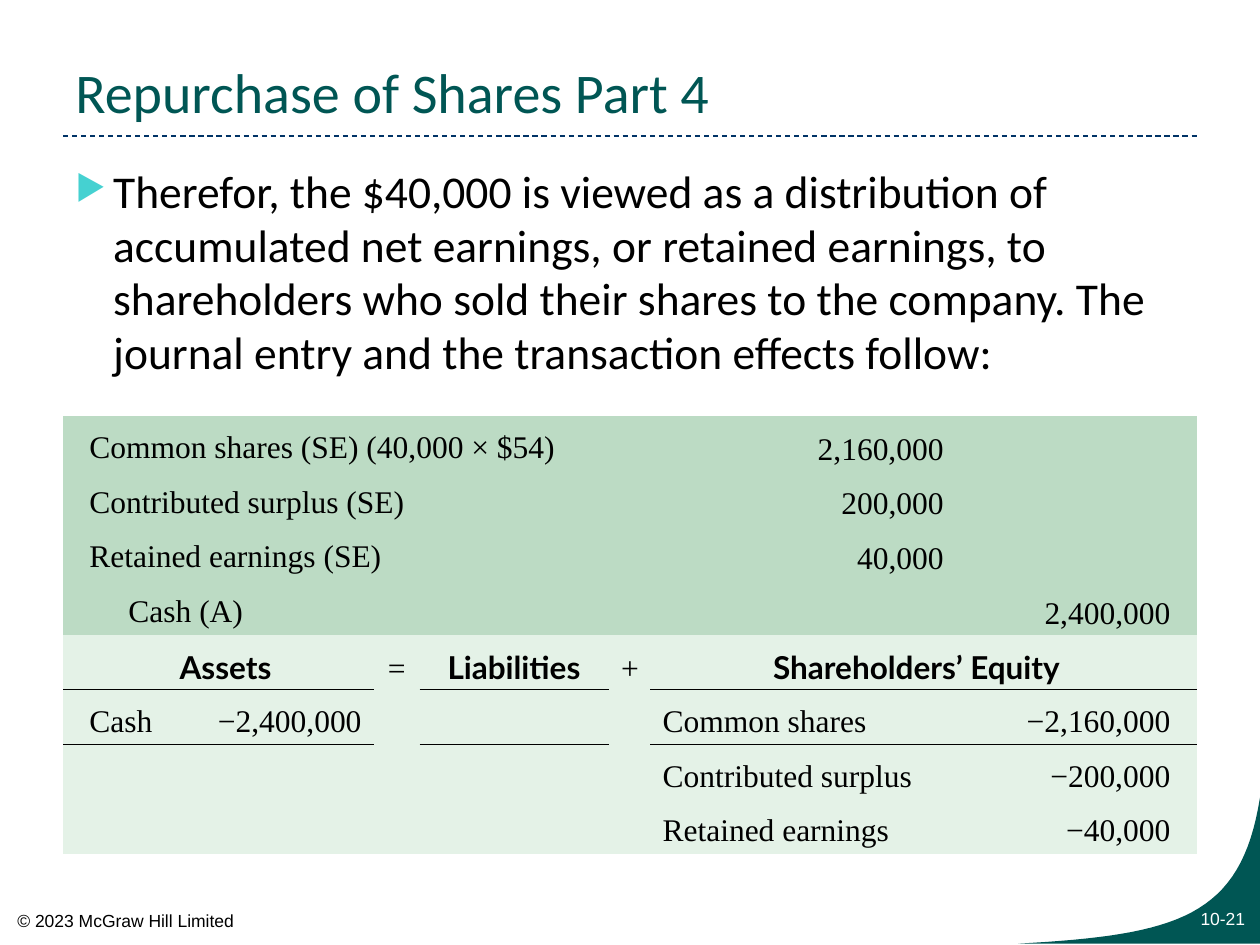
from dataclasses import dataclass
from lxml.etree import SubElement
from pptx import Presentation
from pptx.dml.color import RGBColor
from pptx.enum.dml import MSO_LINE
from pptx.enum.shapes import MSO_CONNECTOR
from pptx.enum.text import MSO_ANCHOR, PP_ALIGN
from pptx.oxml import parse_xml
from pptx.oxml.ns import nsdecls, qn
from pptx.util import Emu, Inches, Pt


@dataclass(frozen=True)
class Theme:
    teal: str = "005654"
    aqua: str = "45D1D1"
    navy: str = "003366"
    black: str = "000000"
    white: str = "FFFFFF"
    entry: str = "BCDBC4"
    effect: str = "E4F2E7"
    title: int = 32
    body: int = 26
    table: int = 18
    footer: int = 10
    sans: str = "Calibri"
    serif: str = "Times New Roman"
    heading: str = "Lato"
    small: str = "Arial"


theme = Theme()
left, center, right = PP_ALIGN.LEFT, PP_ALIGN.CENTER, PP_ALIGN.RIGHT
middle, bottom = MSO_ANCHOR.MIDDLE, MSO_ANCHOR.BOTTOM


def grid(*units):
    return [Emu(round(unit * Inches(0.1))) for unit in units]


def write(frame, text, font, size, color, align=left, bold=False):
    para = frame.paragraphs[0]
    para.alignment = align
    span = para.add_run()
    span.text = text
    span.font.name = font
    span.font.size = Pt(size)
    span.font.bold = bold
    span.font.color.rgb = RGBColor.from_string(color)
    return para


deck = Presentation()
deck.slide_width, deck.slide_height = grid(100, 75)
page = deck.slides.add_slide(deck.slide_layouts[6])

rule = page.shapes.add_connector(MSO_CONNECTOR.STRAIGHT, *grid(5, 10.8, 95, 10.8))
rule.line.color.rgb = RGBColor.from_string(theme.navy)
rule.line.width = Pt(0.75)
rule.line.dash_style = MSO_LINE.DASH
SubElement(rule._element.spPr, qn("a:effectLst"))

curve = [(80.8, 74.9), (93.5, 74.2), (98.5, 72.8), (100, 63.3)]
steps = 32
points = []
for step in range(steps + 1):
    t = step / steps
    weights = [(1 - t) ** 3, 3 * t * (1 - t) ** 2, 3 * t**2 * (1 - t), t**3]
    points.append(grid(*(sum(w * p[axis] for w, p in zip(weights, curve)) for axis in (0, 1))))
builder = page.shapes.build_freeform(*points[0])
builder.add_line_segments(points[1:] + [grid(100, 74.9)], close=True)
corner = builder.convert_to_shape()
corner.fill.solid()
corner.fill.fore_color.rgb = RGBColor.from_string(theme.teal)
corner.line.fill.background()
corner.shadow.inherit = False

texts = [
    ((90, 71.6, 9.8, 2.7), "10-21", theme.small, theme.footer, theme.white, right, True),
    ((0.4, 71.7, 19.4, 2.7), "© 2023 McGraw Hill Limited", theme.small, theme.footer, theme.black, left, False),
    ((5, 1.7, 90, 8.7), "Repurchase of Shares Part 4", theme.sans, theme.title, theme.teal, left, True),
    ((5, 12.7, 90, 19), "Therefor, the $40,000 is viewed as a distribution of accumulated net earnings, "
     "or retained earnings, to shareholders who sold their shares to the company. "
     "The journal entry and the transaction effects follow:",
     theme.sans, theme.body, theme.black, left, True),
]
for place, text, font, size, color, align, wrap in texts:
    box = page.shapes.add_textbox(*grid(*place))
    box.text_frame.word_wrap = wrap
    para = write(box.text_frame, text, font, size, color, align)
    if size == theme.title:
        box.text_frame.vertical_anchor = bottom
    if size == theme.body:
        para.line_spacing = 0.98
        props = para._p.get_or_add_pPr()
        indent = grid(3)[0]
        props.set("marL", str(indent))
        props.set("indent", str(-indent))
        color_tag = SubElement(props, qn("a:buClr"))
        SubElement(color_tag, qn("a:srgbClr")).set("val", theme.aqua)
        SubElement(props, qn("a:buSzPct")).set("val", "76000")
        SubElement(props, qn("a:buChar")).set("char", "▶")

edge, inner, nested = 2.1, 1, 5.2
entries = [
    (0, 0, "Common shares (SE) (40,000 × $54)", left, edge, inner, middle),
    (1, 0, "Contributed surplus (SE)", left, edge, inner, middle),
    (2, 0, "Retained earnings (SE)", left, edge, inner, middle),
    (3, 0, "Cash (A)", left, nested, inner, middle),
    (0, 1, "2,160,000", right, inner, inner, bottom),
    (1, 1, "200,000", right, inner, inner, bottom),
    (2, 1, "40,000", right, inner, inner, bottom),
    (3, 2, "2,400,000", right, inner, edge, bottom),
]
effects = [
    (0, 0, "Assets", center, edge, inner, bottom),
    (0, 2, "=", center, inner, inner, bottom),
    (0, 3, "Liabilities", center, inner, inner, bottom),
    (0, 5, "+", center, inner, inner, bottom),
    (0, 6, "Shareholders’ Equity", center, inner, edge, middle),
    (1, 0, "Cash", left, edge, inner, middle),
    (1, 1, "−2,400,000", right, inner, inner, middle),
    (1, 6, "Common shares", left, inner, inner, middle),
    (1, 7, "−2,160,000", right, inner, edge, middle),
    (2, 6, "Contributed surplus", left, inner, inner, middle),
    (2, 7, "−200,000", right, inner, edge, middle),
    (3, 6, "Retained earnings", left, inner, inner, middle),
    (3, 7, "−40,000", right, inner, edge, middle),
]
row_count, row_height = 4, 4.35
tables = [
    (33, [54.2, 16.7, 19.1], theme.entry, entries, []),
    (50.4, [8.3, 16.4, 3.6, 5, 10, 3.3, 28.7, 14.7], theme.effect, effects, [0, 3, 6]),
]
for top, widths, fill, cells, headings in tables:
    place = grid(5, top, sum(widths), row_count * row_height)
    table = page.shapes.add_table(row_count, len(widths), *place).table
    table.first_row = table.horz_banding = False
    table._tbl.tblPr.find(qn("a:tableStyleId")).text = "{2D5ABB26-0587-4C30-8999-92F81FD0307C}"
    for column, width in zip(table.columns, grid(*widths)):
        column.width = width
    for cell in table.iter_cells():
        cell.fill.solid()
        cell.fill.fore_color.rgb = RGBColor.from_string(fill)
    for start in headings:
        table.cell(0, start).merge(table.cell(0, start + 1))
        for column in (start, start + 1):
            for row, tag in ((0, "lnB"), (1, "lnT")):
                border = parse_xml(
                    f'<a:{tag} {nsdecls("a")} w="{Pt(0.75)}"><a:solidFill>'
                    f'<a:srgbClr val="{theme.black}"/></a:solidFill></a:{tag}>')
                table.cell(row, column)._tc.get_or_add_tcPr().insert(0, border)
    for row, column, text, align, margin_left, margin_right, anchor in cells:
        cell = table.cell(row, column)
        cell.margin_left, cell.margin_right = grid(margin_left, margin_right)
        cell.margin_top, cell.margin_bottom = grid(1, 0.3)
        cell.vertical_anchor = anchor
        heading = row == 0 and column in headings
        font = theme.heading if heading else theme.serif
        write(cell.text_frame, text, font, theme.table, theme.black, align, heading)

deck.save("out.pptx")
